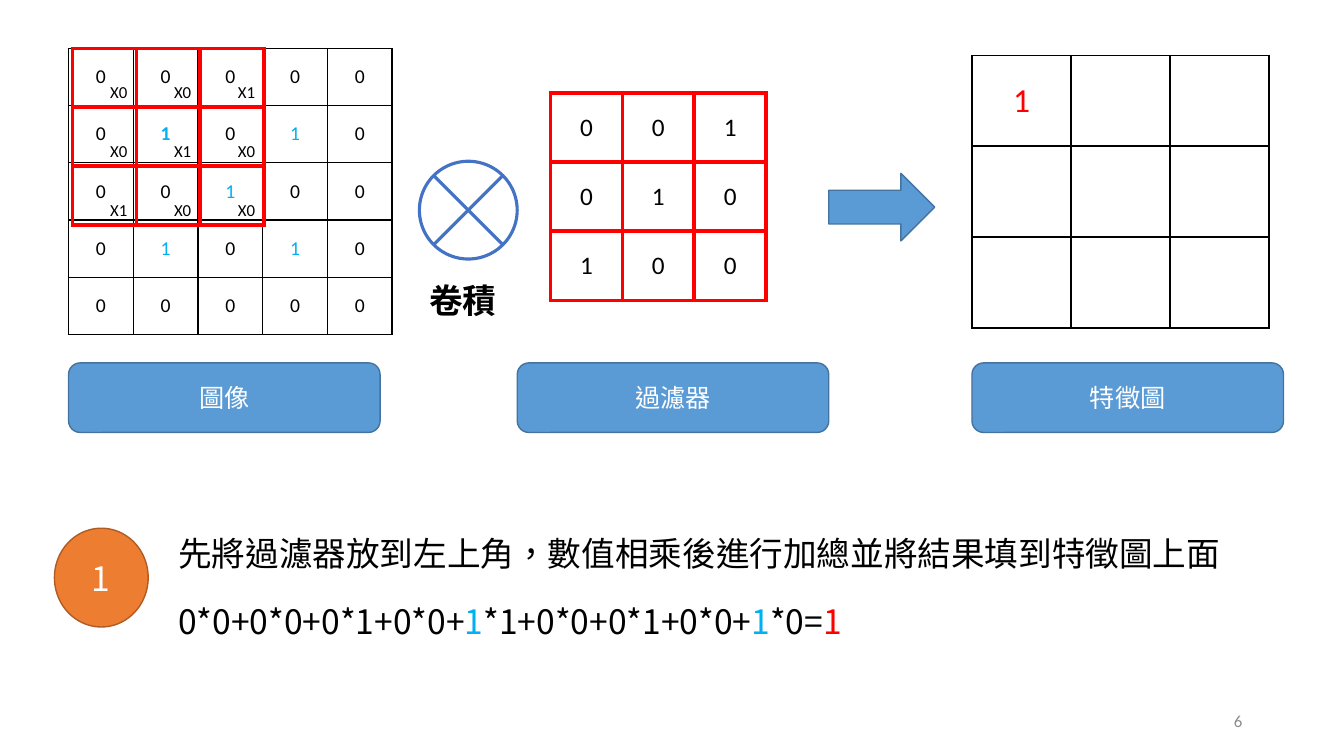
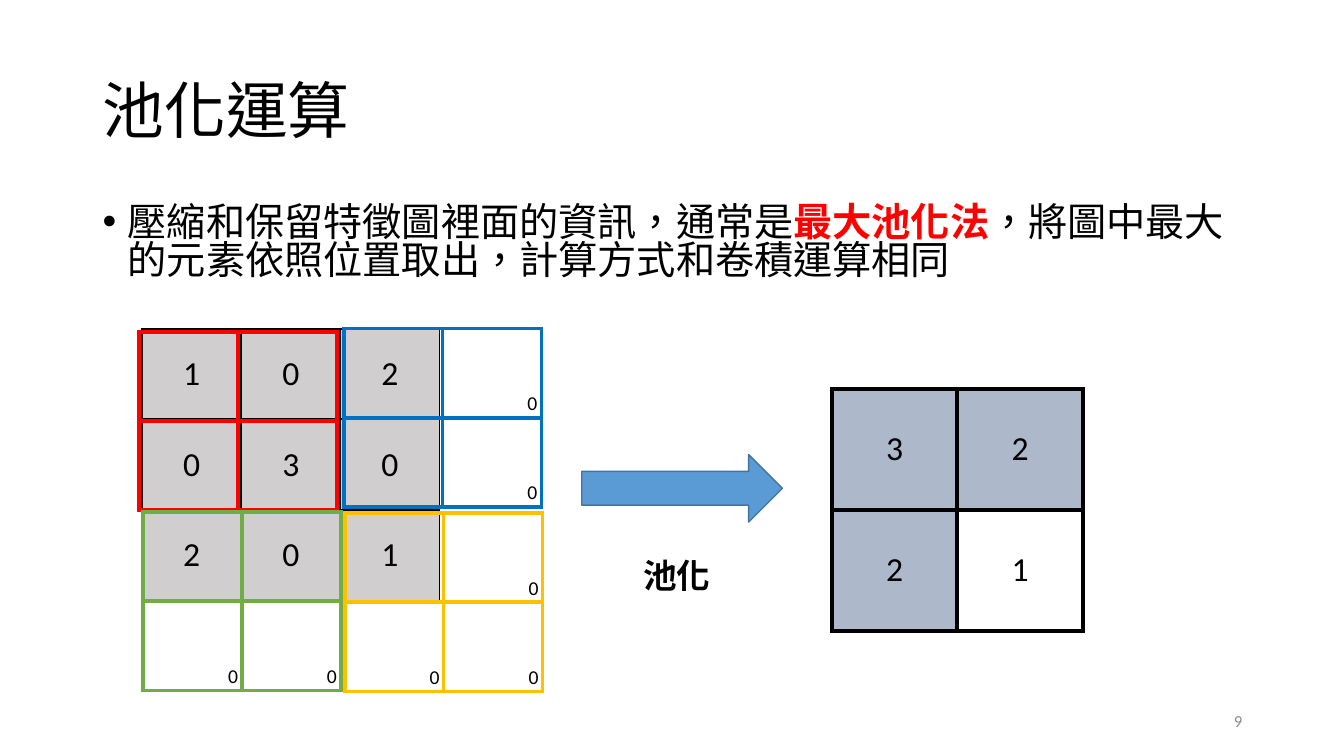
import pptx
import pptx.util
import pptx.dml.color
import pptx.enum.shapes
import pptx.enum.text
import pptx.oxml
import pptx.oxml.ns
import lxml.etree

# Shared style: 100 px to the inch
PX = 9144
HAN, LATIN = "Noto Sans CJK SC", "Calibri"
BLACK, WHITE, RED, CYAN, GREY = "000000", "FFFFFF", "FF0000", "00B0F0", "8C8C8C"
BLUE, BLUE_EDGE, ORANGE, ORANGE_EDGE = "5B9BD5", "43739E", "ED7D31", "AF5C24"
JUNCTION, CELL_GREY, CELL_BLUE = "4472C4", "D0CECE", "ADB9CA"
SHAPE = pptx.enum.shapes.MSO_SHAPE
ALIGN = pptx.enum.text.PP_ALIGN
ANCHOR = pptx.enum.text.MSO_ANCHOR

# Convolution slide: cells that start with a colour mark in MARKS are coloured
IMAGE = ["00000", "01010", "00100", "01010", "00000"]
FILTER = ["001", "010", "100"]
FEATURE = [["1", "", ""], ["", "", ""], ["", "", ""]]
LABELS = [(68, "圖像"), (513, "過濾器"), (964, "特徵圖")]
STEP = [("先將過濾器放到左上角，數值相乘後進行加總並將結果填到特徵圖上面", BLACK, False)]
SUM = [
    ("0*0+0*0+0*1+0*0+", BLACK, False),
    ("1", CYAN, False),
    ("*1+0*0+0*1+0*0+", BLACK, False),
    ("1", CYAN, False),
    ("*0=", BLACK, False),
    ("1", RED, False),
]

# Pooling slide
TITLE = [("池化運算", BLACK, False)]
POOLING = [
    ("壓縮和保留特徵圖裡面的資訊，通常是", BLACK, False),
    ("最大池化法", RED, True),
    ("，將圖中最大的元素依照位置取出，計算方式和卷積運算相同", BLACK, False),
]
VALUES = ["102", "030", "201"]
POOLED = ["32", "21"]
RED_WINDOW = (138, 329, RED, [["", ""], ["", ""]])
PADDED_WINDOWS = [
    (341, 326, "0070C0", [["", "0"], ["", "0"]]),
    (142, 508, "70AD47", [["", ""], ["0", "0"]]),
    (342, 509, "FFC000", [["", "0"], ["0", "0"]]),
]


def px(length):
    return pptx.util.Emu(round(length * PX))


def place(at):
    return [px(length) for length in at]


def rgb(colour):
    return pptx.dml.color.RGBColor.from_string(colour)


def write(para, spans, size, face=HAN, align=ALIGN.LEFT):
    """Add (text, colour, bold) runs to a paragraph."""
    para.alignment = align
    for text, colour, bold in spans:
        span = para.add_run()
        span.text = text
        span.font.size = pptx.util.Pt(size)
        span.font.bold = bold
        span.font.name = face
        span.font.color.rgb = rgb(colour)
        props = span._r.get_or_add_rPr()
        props.set("lang", "zh-TW")
        east = pptx.oxml.parse_xml(
            f'<a:ea {pptx.oxml.ns.nsdecls("a")} typeface="{HAN}"/>')
        props.find(pptx.oxml.ns.qn("a:latin")).addnext(east)


def add_text(page, at, spans, size, face=HAN, align=ALIGN.LEFT, anchor=ANCHOR.TOP):
    box = page.shapes.add_textbox(*place(at))
    box.text_frame.word_wrap = True
    box.text_frame.vertical_anchor = anchor
    write(box.text_frame.paragraphs[0], spans, size, face, align)
    return box


def add_shape(page, kind, at, fill=BLUE, edge=BLUE_EDGE, text="", size=18, weight=1):
    shape = page.shapes.add_shape(kind, *place(at))
    shape.shadow.inherit = False
    shape.fill.solid()
    shape.fill.fore_color.rgb = rgb(fill)
    shape.line.color.rgb = rgb(edge)
    shape.line.width = pptx.util.Pt(weight)
    if text:
        shape.text_frame.vertical_anchor = ANCHOR.MIDDLE
        write(shape.text_frame.paragraphs[0], [(text, WHITE, False)], size,
              align=ALIGN.CENTER)


def set_borders(cell, colour, weight):
    props = cell._tc.get_or_add_tcPr()
    for side in ("lnL", "lnR", "lnT", "lnB"):
        line = lxml.etree.SubElement(props, pptx.oxml.ns.qn("a:" + side),
                                     w=str(int(weight * 12700)))
        fill = lxml.etree.SubElement(line, pptx.oxml.ns.qn("a:solidFill"))
        lxml.etree.SubElement(fill, pptx.oxml.ns.qn("a:srgbClr"), val=colour)


def add_grid(page, at, rows, size, inset, edge=BLACK, weight=3, corner=False,
             colours=None, bold=(), fills=None):
    """Table of equal cells; colours and fills map a cell's text to a colour."""
    left, top, width, height = at
    table = page.shapes.add_table(len(rows), len(rows[0]), *place(at)).table
    table.first_row = table.horz_banding = False
    for column in table.columns:
        column.width = px(width / len(rows[0]))
    for r, row in enumerate(rows):
        table.rows[r].height = px(height / len(rows))
        for c, text in enumerate(row):
            cell = table.cell(r, c)
            set_borders(cell, edge, weight)
            cell.margin_left = cell.margin_right = px(inset[0])
            cell.margin_top = cell.margin_bottom = px(inset[1])
            cell.vertical_anchor = ANCHOR.BOTTOM if corner else ANCHOR.MIDDLE
            fill = (fills or {}).get(text)
            if fill:
                cell.fill.solid()
                cell.fill.fore_color.rgb = rgb(fill)
            else:
                cell.fill.background()
            if text:
                colour = (colours or {}).get(text, BLACK)
                write(cell.text_frame.paragraphs[0], [(text, colour, (r, c) in bold)],
                      size, LATIN, ALIGN.RIGHT if corner else ALIGN.CENTER)


def add_bullet(para):
    props = para._p.get_or_add_pPr()
    props.set("marL", str(px(25)))
    props.set("indent", str(-px(25)))
    lxml.etree.SubElement(props, pptx.oxml.ns.qn("a:buFont"), typeface="Arial")
    lxml.etree.SubElement(props, pptx.oxml.ns.qn("a:buChar"), char="•")


def add_number(page, number):
    add_text(page, (942, 695, 300, 40), [(number, GREY, False)], 12, LATIN,
             ALIGN.RIGHT, ANCHOR.MIDDLE)


def build_convolution(deck):
    page = deck.slides.add_slide(deck.slide_layouts[6])

    # Image, filter and feature map
    add_grid(page, (68, 48, 321, 284), IMAGE, 14, (8, 4), weight=1,
             colours={"1": CYAN}, bold={(1, 1)})
    add_grid(page, (546, 92, 214, 206), FILTER, 18, (10, 5), edge=RED)
    add_grid(page, (964, 55, 295, 270), FEATURE, 24, (7, 3), weight=1.5,
             colours={"1": RED})
    for left, label in LABELS:
        add_shape(page, SHAPE.ROUNDED_RECTANGLE, (left, 360, 309, 69), text=label)

    # Operators
    add_shape(page, SHAPE.FLOWCHART_SUMMING_JUNCTION, (416, 160, 97, 97),
              WHITE, JUNCTION, weight=2.25)
    add_text(page, (416, 273, 97, 50), [("卷積", BLACK, True)], 24)
    add_shape(page, SHAPE.RIGHT_ARROW, (822, 172, 105, 67))

    # Filter weights laid over the image
    weights = [["X" + value for value in row] for row in FILTER]
    add_grid(page, (72, 48, 190, 175), weights, 12, (9, 4), edge=RED, corner=True)

    # Explanation
    add_shape(page, SHAPE.OVAL, (54, 524, 93, 98), ORANGE, ORANGE_EDGE, "1", 24)
    for top, spans in ((524, STEP), (591, SUM)):
        add_text(page, (167, top, 1116, 50), spans, 24)
    add_number(page, "6")


def build_pooling(deck):
    page = deck.slides.add_slide(deck.slide_layouts[5])

    # Title and definition
    title = page.shapes.title
    title.left, title.top, title.width, title.height = place((92, 40, 1150, 145))
    title.text_frame.vertical_anchor = ANCHOR.MIDDLE
    heading = title.text_frame.paragraphs[0]
    heading.line_spacing = 0.9
    write(heading, TITLE, 44)
    body = add_text(page, (92, 200, 1150, 91), [], 28)
    para = body.text_frame.paragraphs[0]
    add_bullet(para)
    para.line_spacing = 0.8
    write(para, POOLING, 28)

    # Feature map, pooling windows and result
    add_grid(page, (141, 326, 295, 270), VALUES, 24, (7, 3), weight=1.5,
             fills=dict.fromkeys("0123", CELL_GREY))
    for left, top, edge, rows in [RED_WINDOW] + PADDED_WINDOWS:
        add_grid(page, (left, top, 196, 177), rows, 14, (4, 2), edge=edge, corner=True)
    add_grid(page, (825, 386, 249, 240), POOLED, 24, (4, 2),
             fills=dict.fromkeys("32", CELL_BLUE))

    # Operator
    add_shape(page, SHAPE.RIGHT_ARROW, (577, 451, 199, 67))
    add_text(page, (628, 546, 97, 50), [("池化", BLACK, True)], 24)
    add_number(page, "9")


def main():
    deck = pptx.Presentation()
    deck.slide_width, deck.slide_height = px(1333), px(750)
    build_convolution(deck)
    build_pooling(deck)
    deck.save("out.pptx")


if __name__ == "__main__":
    main()
